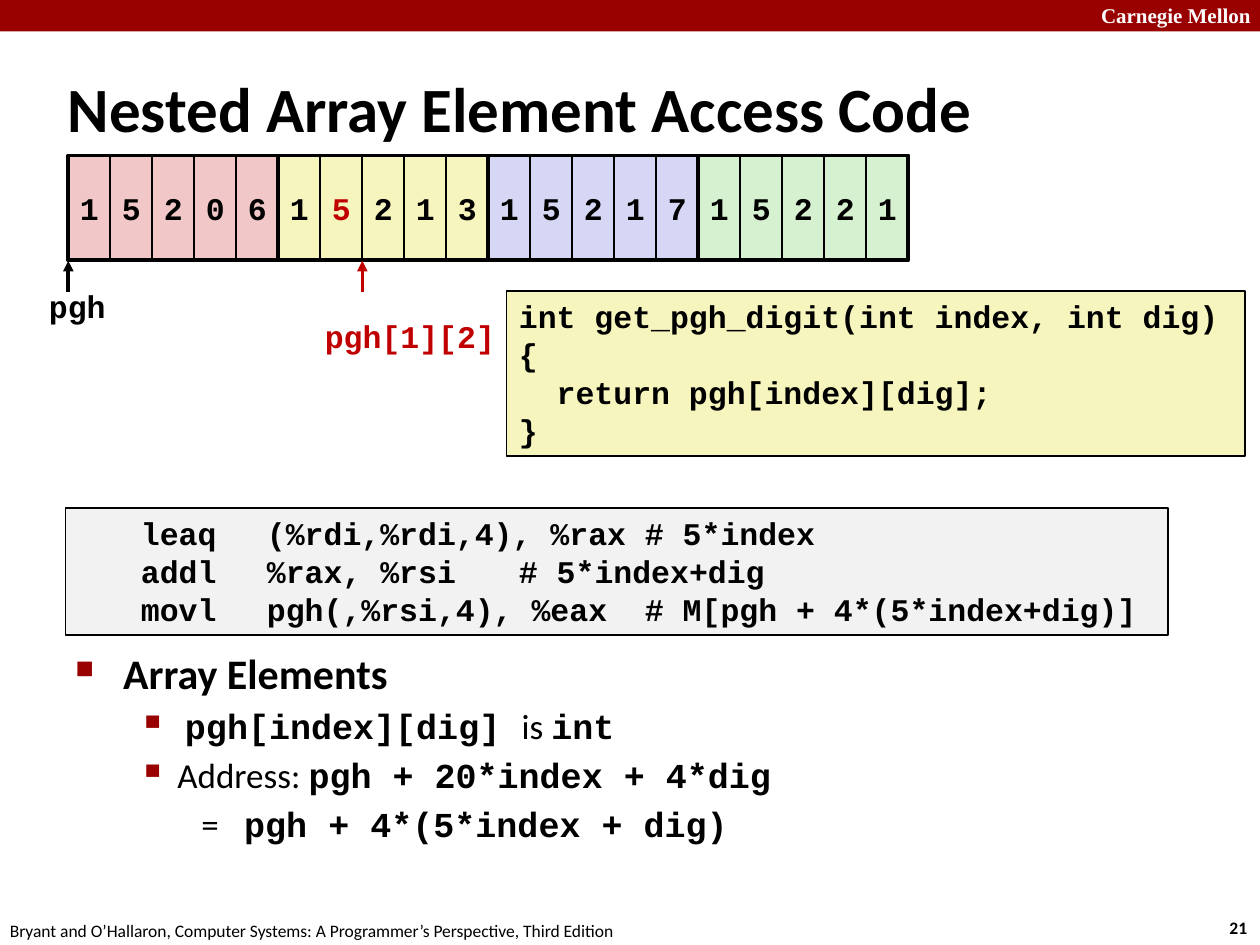
from dataclasses import dataclass, field
from typing import NamedTuple, Optional

from lxml import etree
from pptx import Presentation
from pptx import util as u
from pptx.dml.color import RGBColor
from pptx.enum import shapes, text
from pptx.oxml.ns import qn

WIDTH, HEIGHT = u.Inches(10), u.Inches(7.5)


@dataclass(frozen=True)
class Theme:
    black: str = "000000"
    white: str = "FFFFFF"
    banner: str = "990000"
    accent: str = "C00000"
    code_fill: str = "F6F5BD"
    asm_fill: str = "F2F2F2"
    row_fills: tuple = ("F1C7C7", "F6F5BD", "D6D6F5", "D5F1CF")
    sans: str = "Calibri"
    mono: str = "Courier New"
    serif: str = "Times New Roman"
    title: float = 36
    heading: float = 24
    body: float = 20
    code: float = 18
    banner_text: float = 12
    footer: float = 10
    thin: float = 1
    thick: float = 2.25
    arrow: float = 2


THEME = Theme()


class Box(NamedTuple):
    """Left, top, width and height in percent of the slide's size."""
    left: float
    top: float
    width: float
    height: float

    def emu(self) -> list[int]:
        return [round(share * side / 100)
                for share, side in zip(self, (WIDTH, HEIGHT) * 2)]


class Span(NamedTuple):
    words: str
    size: float = THEME.code
    face: str = THEME.mono
    color: str = THEME.black
    bold: bool = True


class Bullet(NamedTuple):
    sign: str
    percent: int


@dataclass
class Para:
    spans: list[Span]
    margin: float = 0
    indent: float = 0
    before: float = 0
    bullet: Optional[Bullet] = None
    tabs: tuple = ()


@dataclass
class Frame:
    """A box with text, and a fill and outline if they are given."""
    box: Box
    paras: list[Para] = field(default_factory=list)
    fill: Optional[str] = None
    line: Optional[float] = None
    wrap: bool = True
    middle: bool = False
    centred: bool = False


def apply(target, values: dict) -> None:
    for name, value in values.items():
        setattr(target, name, value)


def rgb(code: str) -> RGBColor:
    return RGBColor.from_string(code)


def add_bullet(props, bullet: Bullet) -> None:
    color = etree.SubElement(props, qn("a:buClr"))
    etree.SubElement(color, qn("a:srgbClr"), val=THEME.banner)
    etree.SubElement(props, qn("a:buSzPct"), val=str(bullet.percent * 1000))
    etree.SubElement(props, qn("a:buChar"), char=bullet.sign)


def write_para(target, para: Para, centred: bool) -> None:
    props = target._p.get_or_add_pPr()
    props.set("marL", str(u.Inches(para.margin)))
    props.set("indent", str(u.Inches(para.indent)))
    if para.bullet:
        add_bullet(props, para.bullet)
    if para.tabs:
        stops = etree.SubElement(props, qn("a:tabLst"))
        for stop in para.tabs:
            etree.SubElement(stops, qn("a:tab"), pos=str(u.Inches(stop)), algn="l")
    align = text.PP_ALIGN.CENTER if centred else text.PP_ALIGN.LEFT
    apply(target, {"alignment": align, "space_before": u.Pt(para.before)})
    for span in para.spans:
        run = target.add_run()
        run.text = span.words
        apply(run.font, {"size": u.Pt(span.size), "name": span.face, "bold": span.bold})
        run.font.color.rgb = rgb(span.color)


def draw_frame(page, frame: Frame) -> None:
    if frame.fill or frame.line:
        shape = page.shapes.add_shape(shapes.MSO_SHAPE.RECTANGLE, *frame.box.emu())
        shape.shadow.inherit = False
        if frame.fill:
            shape.fill.solid()
            shape.fill.fore_color.rgb = rgb(frame.fill)
        else:
            shape.fill.background()
        if frame.line:
            shape.line.color.rgb = rgb(THEME.black)
            shape.line.width = u.Pt(frame.line)
        else:
            shape.line.fill.background()
    else:
        shape = page.shapes.add_textbox(*frame.box.emu())
    body = shape.text_frame
    anchor = text.MSO_ANCHOR.MIDDLE if frame.middle else text.MSO_ANCHOR.TOP
    apply(body, {"word_wrap": frame.wrap, "vertical_anchor": anchor})
    for index, para in enumerate(frame.paras):
        target = body.add_paragraph() if index else body.paragraphs[0]
        write_para(target, para, frame.centred)


def draw_up_arrow(page, x: float, bottom: float, top: float, color: str) -> None:
    left, low, _, high = Box(x, bottom, 0, top).emu()
    arrow = page.shapes.add_connector(shapes.MSO_CONNECTOR.STRAIGHT, left, low, left, high)
    arrow.line.color.rgb = rgb(color)
    arrow.line.width = u.Pt(THEME.arrow)
    etree.SubElement(arrow.line._get_or_add_ln(), qn("a:tailEnd"), type="triangle")
    etree.SubElement(arrow._element.spPr, qn("a:effectLst"))


ARRAY = Box(5.42, 16.45, 66.67, 11.1)
ROWS = ("15206", "15213", "15217", "15221")
DIGITS = len(ROWS[0])
ROW_WIDTH = ARRAY.width / len(ROWS)
CELL_WIDTH = ROW_WIDTH / DIGITS
RED_CELL = (1, 1)


def draw_array(page) -> None:
    for row, digits in enumerate(ROWS):
        for column, digit in enumerate(digits):
            left = ARRAY.left + row * ROW_WIDTH + column * CELL_WIDTH
            color = THEME.accent if (row, column) == RED_CELL else THEME.black
            draw_frame(page, Frame(Box(left, ARRAY.top, CELL_WIDTH, ARRAY.height),
                                   [Para([Span(digit, color=color)])],
                                   THEME.row_fills[row], THEME.thin, False, True, True))
    for row in range(len(ROWS)):
        draw_frame(page, Frame(Box(ARRAY.left + row * ROW_WIDTH, ARRAY.top,
                                   ROW_WIDTH, ARRAY.height), line=THEME.thick))
    for cell, color in ((0, THEME.black), (DIGITS + 2, THEME.accent)):
        draw_up_arrow(page, ARRAY.left + cell * CELL_WIDTH, 30.9, 27.6, color)


def code(*lines: str, tabs: tuple = ()) -> list[Para]:
    return [Para([Span(line)], tabs=tabs) for line in lines]


def plain(words: str, size: float = THEME.body, bold: bool = False) -> Span:
    return Span(words, size, THEME.sans, bold=bold)


def formula(words: str) -> Span:
    return Span(words, THEME.body)


SQUARE, SMALL_SQUARE = Bullet("■", 60), Bullet("▪", 110)
NOTES = [
    Para([plain("Array Elements", THEME.heading, True)], 0.38, -0.38, bullet=SQUARE),
    Para([formula("pgh[index][dig] "), plain("is "), formula("int")],
         0.87, -0.37, 4, SMALL_SQUARE),
    Para([plain("Address: "), formula("pgh + 20*index + 4*dig")],
         0.81, -0.31, 4, SMALL_SQUARE),
    Para([plain("=\t"), formula("pgh + 4*(5*index + dig)")], 1.34, -0.34, 4),
]
FRAMES = [
    Frame(Box(0, 0, 100, 3.33), fill=THEME.banner),
    Frame(Box(86.4, -0.4, 14.3, 4), [Para([Span(
        "Carnegie Mellon", THEME.banner_text, THEME.serif, THEME.white)])]),
    Frame(Box(96.6, 96.4, 3.7, 3.6), [Para([plain("21", THEME.footer, True)])], wrap=False),
    Frame(Box(-0.2, 96.67, 50.8, 3.6), [Para([plain(
        "Bryant and O’Hallaron, Computer Systems: A Programmer’s Perspective, Third Edition",
        THEME.footer)])], wrap=False),
    Frame(Box(4.4, 7.2, 90.6, 8.4), [Para([plain(
        "Nested Array Element Access Code", THEME.title, True)])], middle=True),
    Frame(Box(5, 67.87, 91, 25.47), NOTES),
    Frame(Box(40.2, 30.8, 58.6, 17.47), code(
        "int get_pgh_digit(int index, int dig)", "{",
        "  return pgh[index][dig];", "}"), THEME.code_fill, THEME.thin),
    Frame(Box(5.2, 53.73, 87.5, 13.47), code(
        "\tleaq\t(%rdi,%rdi,4), %rax\t# 5*index",
        "\taddl\t%rax, %rsi\t# 5*index+dig",
        "\tmovl\tpgh(,%rsi,4), %eax\t# M[pgh + 4*(5*index+dig)]",
        tabs=(0.12, 1.06, 4.38)), THEME.asm_fill, THEME.thin),
    Frame(Box(2.9, 29.73, 6.6, 5.33), code("pgh"), wrap=False),
    Frame(Box(24.8, 32.93, 15.6, 5.33),
          [Para([Span("pgh[1][2]", color=THEME.accent)])], wrap=False),
]


def main() -> None:
    deck = Presentation()
    apply(deck, {"slide_width": WIDTH, "slide_height": HEIGHT})
    page = deck.slides.add_slide(deck.slide_layouts[6])
    for frame in FRAMES:
        draw_frame(page, frame)
    draw_array(page)
    deck.save("out.pptx")


if __name__ == "__main__":
    main()
